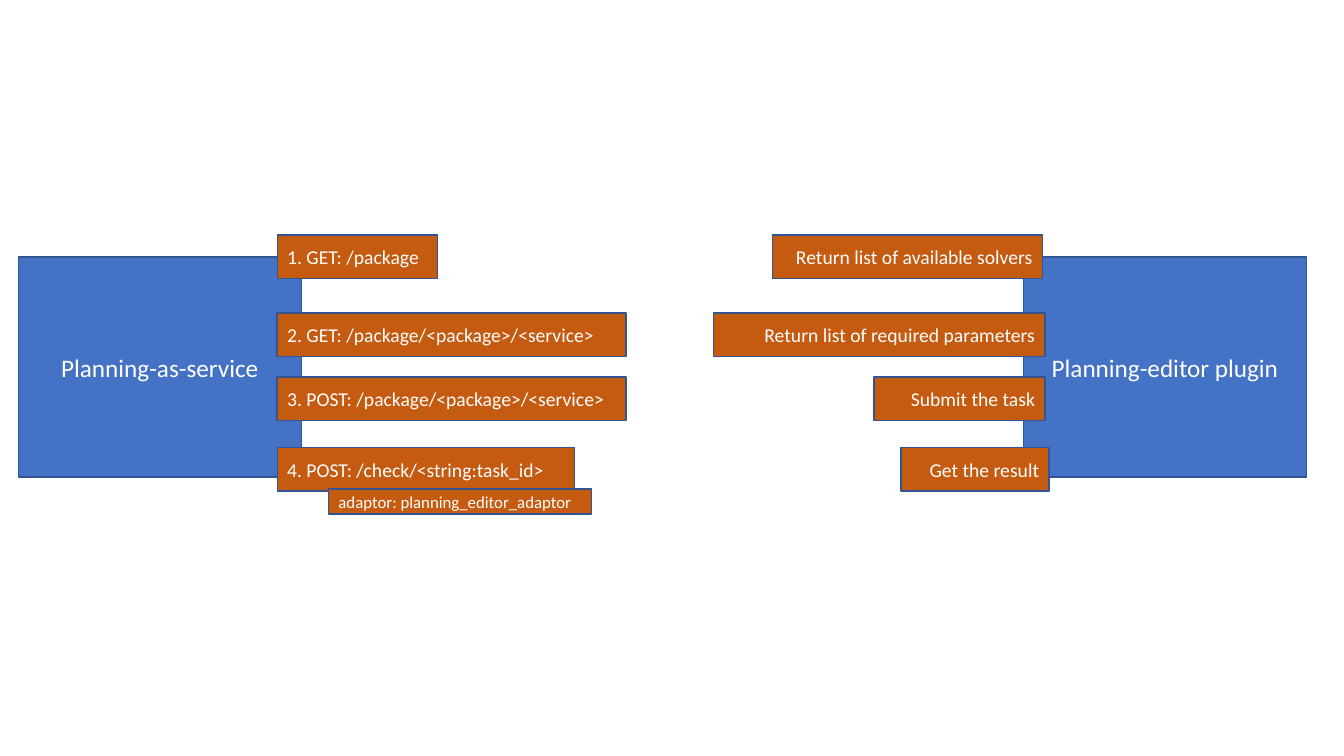
from pptx import Presentation
from pptx.dml.color import RGBColor
from pptx.enum.shapes import MSO_SHAPE
from pptx.enum.text import MSO_ANCHOR, PP_ALIGN
from pptx.util import Pt

RECTANGLE = MSO_SHAPE.RECTANGLE
MIDDLE = MSO_ANCHOR.MIDDLE
LEFT, CENTER, RIGHT = PP_ALIGN.LEFT, PP_ALIGN.CENTER, PP_ALIGN.RIGHT

BLUE = RGBColor(0x44, 0x72, 0xC4)
ORANGE = RGBColor(0xC5, 0x5A, 0x11)
OUTLINE = RGBColor(0x32, 0x54, 0x91)
WHITE = RGBColor(0xFF, 0xFF, 0xFF)

BLANK_LAYOUT = 6
SYSTEM_TOP, SYSTEM_WIDTH, SYSTEM_HEIGHT = 183.6, 202.3, 157
REQUEST_LEFT = 198
STEP_HEIGHT = 31

STEPS = [
    (167.9, "1. GET: /package", 114.5,
     "Return list of available solvers", 744.7, 193),
    (223.5, "2. GET: /package/<package>/<service>", 249.1,
     "Return list of required parameters", 746.6, 236.9),
    (269.3, "3. POST: /package/<package>/<service>", 249.1,
     "Submit the task", 746.6, 122.4),
    (319.7, "4. POST: /check/<string:task_id>", 212.4,
     "Get the result", 749.5, 105.8),
]


def add_box(slide, left, top, width, height, label, fill, size, align):
    box = slide.shapes.add_shape(
        RECTANGLE, Pt(left), Pt(top), Pt(width), Pt(height))
    box.shadow.inherit = False
    box.fill.solid()
    box.fill.fore_color.rgb = fill
    box.line.color.rgb = OUTLINE
    box.line.width = Pt(1)
    frame = box.text_frame
    frame.word_wrap = True
    frame.vertical_anchor = MIDDLE
    paragraph = frame.paragraphs[0]
    paragraph.alignment = align
    run = paragraph.add_run()
    run.text = label
    run.font.name = "Calibri"
    run.font.size = Pt(size)
    run.font.color.rgb = WHITE


def add_system(slide, left, label):
    add_box(slide, left, SYSTEM_TOP, SYSTEM_WIDTH, SYSTEM_HEIGHT,
            label, BLUE, 18, CENTER)


def add_step(slide, left, top, width, label, align):
    add_box(slide, left, top, width, STEP_HEIGHT, label, ORANGE, 14, align)


def main():
    deck = Presentation()
    deck.slide_width, deck.slide_height = Pt(960), Pt(540)
    slide = deck.slides.add_slide(deck.slide_layouts[BLANK_LAYOUT])

    add_system(slide, 13, "Planning-as-service")
    for top, request, request_width, *_ in STEPS:
        add_step(slide, REQUEST_LEFT, top, request_width, request, LEFT)

    add_system(slide, 731, "Planning-editor plugin")
    for top, _, _, action, action_right, action_width in STEPS:
        add_step(slide, action_right - action_width, top, action_width,
                 action, RIGHT)

    add_box(slide, 234.7, 349.2, 188, 18, "adaptor: planning_editor_adaptor",
            ORANGE, 12, LEFT)

    deck.save("out.pptx")


if __name__ == "__main__":
    main()
